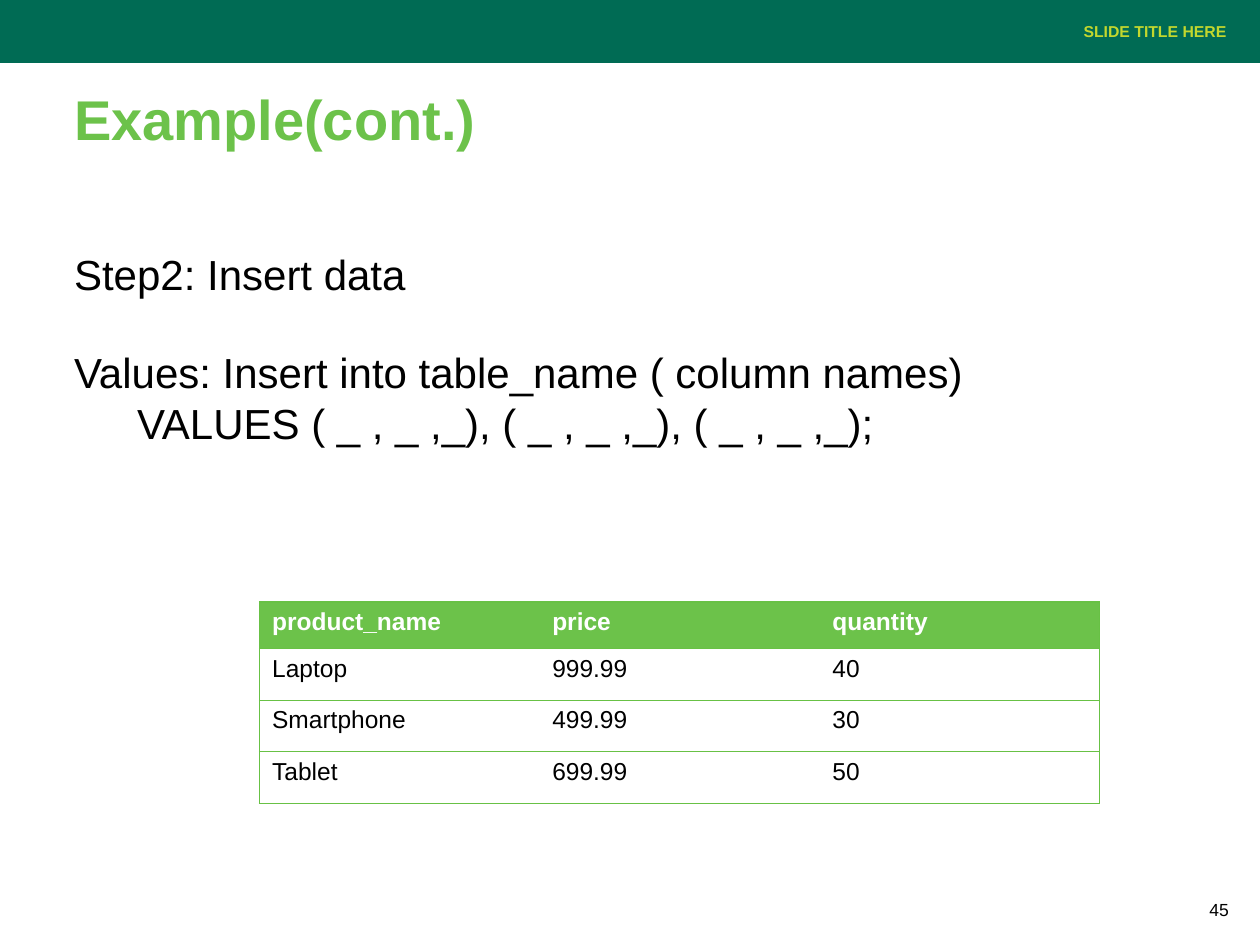
from lxml.etree import SubElement as Sub
from pptx import Presentation
from pptx.dml.color import RGBColor as Rgb
from pptx.enum.shapes import MSO_SHAPE as Kind
from pptx.enum.text import MSO_ANCHOR as Anchor, PP_ALIGN as Align
from pptx.oxml.ns import qn
from pptx.util import Inches, Pt

WIDE, HIGH = 10, 7.5
INK = {"band": "006B54", "lime": "C2D72E", "green": "6CC24A",
       "line": "68C145", "black": "000000", "white": "FFFFFF"}
ROWS = [("product_name", "price", "quantity"),
        ("Laptop", "999.99", "40"),
        ("Smartphone", "499.99", "30"),
        ("Tablet", "699.99", "50")]


def part(box, x, y, w, h):
    left, top, wide, high = box
    return left + x * wide, top + y * high, w * wide, h * high


def place(box):
    return [Inches(v) for v in box]


def write(frame, text, size=14, ink="black", bold=False, align=Align.LEFT,
          anchor=Anchor.TOP, lead=1.0, gap=0):
    frame.word_wrap = True
    frame.vertical_anchor = anchor
    for n, line in enumerate(text.split("\n")):
        para = frame.add_paragraph() if n else frame.paragraphs[0]
        para.text = line
        para.alignment = align
        para.line_spacing = lead
        para.space_before = Pt(gap if n else 0)
        for run in para.runs:
            font = run.font
            font.name, font.size, font.bold = "Arial", Pt(size), bold
            font.color.rgb = Rgb.from_string(INK[ink])


def label(slide, box, text, **form):
    write(slide.shapes.add_textbox(*place(box)).text_frame, text, **form)


def header(slide, box):
    band = slide.shapes.add_shape(Kind.RECTANGLE, *place(box))
    band.shadow.inherit = False
    band.fill.solid()
    band.fill.fore_color.rgb = Rgb.from_string(INK["band"])
    band.line.fill.background()
    label(slide, part(box, 0.158, 0, 0.825, 1), "SLIDE TITLE HERE", size=9,
          ink="lime", bold=True, align=Align.RIGHT, anchor=Anchor.MIDDLE)


def content(slide, box):
    label(slide, part(box, 0, 0, 1, 0.19), "Example(cont.)",
          size=32, ink="green", bold=True, lead=0.95)
    label(slide, part(box, 0, 0.21, 0.99, 0.79),
          "Step2: Insert data\n"
          "Values: Insert into table_name ( column names) \v"
          "\tVALUES ( _ , _ ,_), ( _ , _ ,_), ( _ , _ ,_);",
          size=24, gap=27.5)


def edge(cell, sides):
    props = cell._tc.get_or_add_tcPr()
    for n, side in enumerate("LRTB"):
        line = props.makeelement(qn("a:ln" + side), {"w": str(Pt(0.75))})
        if side in sides:
            fill = Sub(line, qn("a:solidFill"))
            Sub(fill, qn("a:srgbClr"), val=INK["line"])
        else:
            Sub(line, qn("a:noFill"))
        props.insert(n, line)


def stock(slide, box):
    cols = len(ROWS[0])
    table = slide.shapes.add_table(len(ROWS), cols, *place(box)).table
    table.horz_banding = False
    for n, row in enumerate(table.rows):
        row.height = Inches(0.41 if n else 0.37)
    for r, row in enumerate(ROWS):
        for c, text in enumerate(row):
            cell = table.cell(r, c)
            cell.fill.solid()
            cell.fill.fore_color.rgb = Rgb.from_string(
                INK["white" if r else "green"])
            write(cell.text_frame, text, bold=not r,
                  ink="black" if r else "white")
            edge(cell, "TB" + "L" * (c == 0) + "R" * (c == cols - 1))


def footer(slide, box):
    label(slide, box, "45", size=10, anchor=Anchor.BOTTOM)


def main():
    deck = Presentation()
    deck.slide_width, deck.slide_height = Inches(WIDE), Inches(HIGH)
    slide = deck.slides.add_slide(deck.slide_layouts[6])
    page = 0, 0, WIDE, HIGH
    header(slide, part(page, 0, 0, 1, 1 / 15))
    footer(slide, part(page, 0.95, 0.93, 0.05, 0.05))
    content(slide, part(page, 0.049, 0.088, 0.902, 0.8))
    stock(slide, part(page, 0.206, 0.637, 0.667, 0.21))
    deck.save("out.pptx")


if __name__ == "__main__":
    main()
